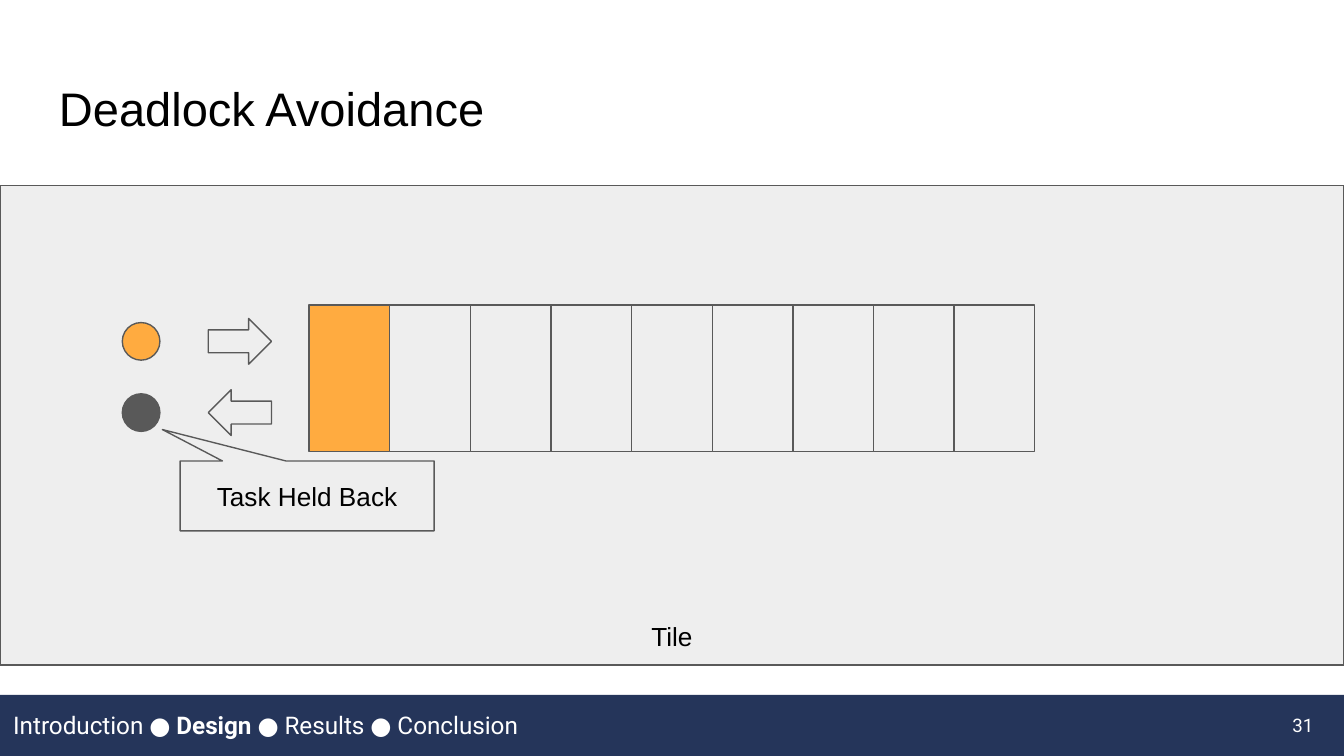
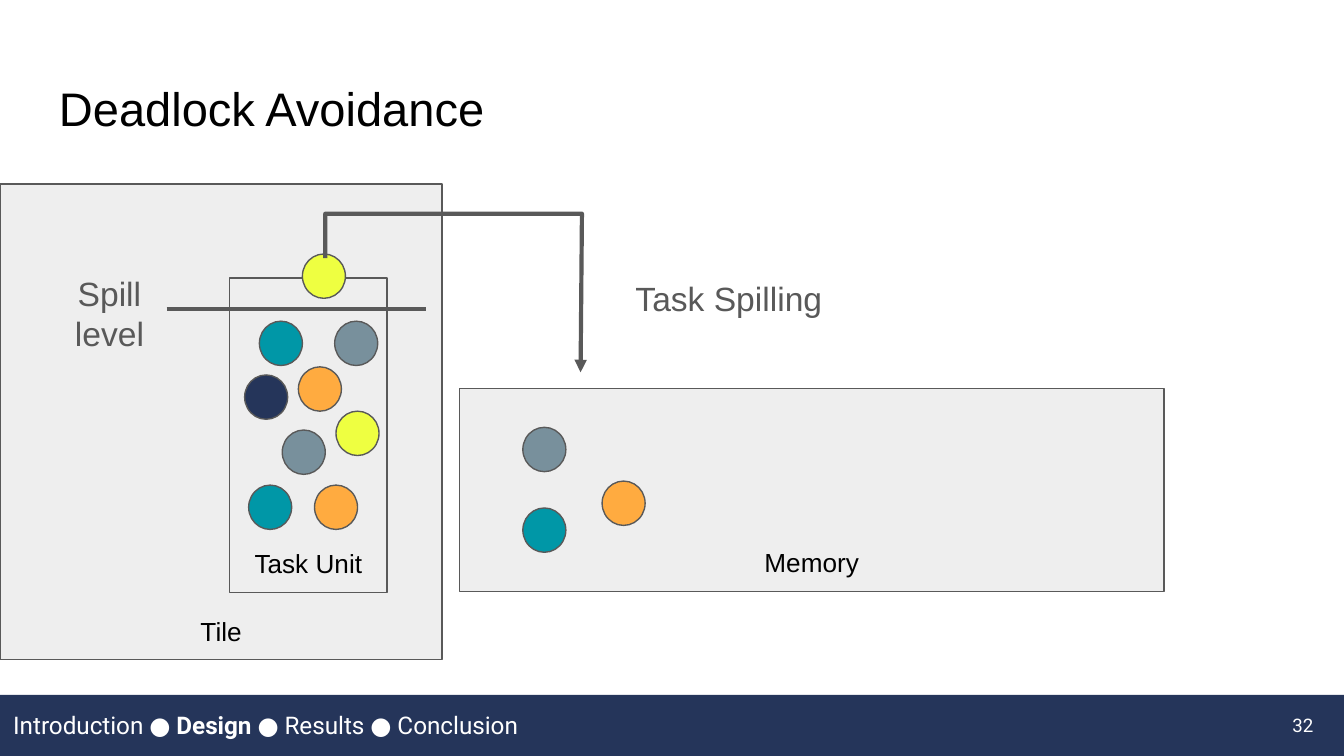
import pptx
import pptx.dml.color
import pptx.enum.shapes
import pptx.enum.text
import pptx.oxml.ns
import pptx.util
from lxml import etree

Inches = pptx.util.Inches
RGBColor = pptx.dml.color.RGBColor
SHAPE = pptx.enum.shapes.MSO_SHAPE
ALIGN = pptx.enum.text.PP_ALIGN
ANCHOR = pptx.enum.text.MSO_ANCHOR

NAVY = RGBColor(0x25, 0x35, 0x5A)
GRAY = RGBColor(0x59, 0x59, 0x59)
PANEL = RGBColor(0xEE, 0xEE, 0xEE)
CELL = RGBColor(0xEF, 0xEF, 0xEF)
ORANGE = RGBColor(0xFF, 0xAB, 0x40)
TEAL = RGBColor(0x00, 0x97, 0xA7)
SLATE = RGBColor(0x78, 0x90, 0x9C)
YELLOW = RGBColor(0xEE, 0xFF, 0x41)
BLACK = RGBColor(0, 0, 0)
WHITE = RGBColor(255, 255, 255)

WIDTH = 10
HEIGHT = WIDTH * 9 / 16
SECTIONS = ["Introduction", "Design", "Results", "Conclusion"]


# Shared building blocks
def write(shape, text, size, color, font="Arial", align=ALIGN.LEFT, anchor=ANCHOR.TOP):
    frame = shape.text_frame
    frame.word_wrap = True
    frame.margin_left = frame.margin_right = Inches(0.1)
    frame.margin_top = frame.margin_bottom = Inches(0.1)
    frame.vertical_anchor = anchor
    frame.text = text
    for paragraph in frame.paragraphs:
        paragraph.alignment = align
        for run in paragraph.runs:
            style_run(run, size, color, font)


def style_run(run, size, color, font):
    run.font.size = pptx.util.Pt(size)
    run.font.name = font
    run.font.color.rgb = color


def add_text(slide, box, text, size, color, **style):
    shape = slide.shapes.add_textbox(*map(Inches, box))
    write(shape, text, size, color, **style)
    return shape


def add_shape(slide, kind, box, fill, outline=GRAY):
    shape = slide.shapes.add_shape(kind, *map(Inches, box))
    shape.shadow.inherit = False
    shape.fill.solid()
    shape.fill.fore_color.rgb = fill
    if outline is None:
        shape.line.fill.background()
    else:
        shape.line.color.rgb = outline
        shape.line.width = pptx.util.Pt(0.75)
    return shape


def add_panel(slide, box, label):
    panel = add_shape(slide, SHAPE.RECTANGLE, box, PANEL)
    write(panel, label, 14, BLACK, align=ALIGN.CENTER, anchor=ANCHOR.BOTTOM)


def style_thick_line(line):
    line.color.rgb = GRAY
    line.width = pptx.util.Pt(2.25)


def add_tasks(slide, box, tasks, width=0.32, height=0.33):
    for x, y, color in tasks:
        add_shape(slide, SHAPE.OVAL, (box[0] + x, box[1] + y, width, height), color)


# Title, footer band, section trail and slide number
def add_frame(slide, title, section, number):
    add_shape(slide, SHAPE.RECTANGLE, (0, 5.17, WIDTH, HEIGHT - 5.17), NAVY, outline=None)
    add_text(slide, (0.34, 0.49, 9.32, 0.63), title, 25.2, BLACK)
    add_text(slide, (9.27, 5.18, 0.6, 0.43), str(number), 10, WHITE,
             font="Roboto", align=ALIGN.RIGHT, anchor=ANCHOR.MIDDLE)
    trail = add_text(slide, (0, 5.18, 9.27, 0.43), "", 13, WHITE, anchor=ANCHOR.MIDDLE)
    paragraph = trail.text_frame.paragraphs[0]
    before, after = " ● ".join(SECTIONS).split(section + " ")
    for part in (before, section + " ", after):
        run = paragraph.add_run()
        run.text = part
        style_run(run, 13, WHITE, "Roboto")
        run.font.bold = part.strip() == section


# Row of queue slots, the first one occupied
def add_queue(slide, box, count=9):
    left, top, width, height = box
    slot = width / count
    for index in range(count):
        fill = ORANGE if index == 0 else CELL if index in (5, 6) else PANEL
        add_shape(slide, SHAPE.RECTANGLE, (left + index * slot, top, slot, height), fill)


# Tasks entering and leaving the queue
def add_task_flow(slide, box):
    left, top, width, height = box
    for row, (color, rotation) in enumerate([(ORANGE, 0), (GRAY, 180)]):
        y = top + row * (height - 0.34)
        add_tasks(slide, (left, y), [(0, 0.03, color)], 0.28, 0.28)
        arrow = add_shape(slide, SHAPE.RIGHT_ARROW, (left + width - 0.47, y, 0.47, 0.34), PANEL)
        arrow.rotation = rotation


def add_callout(slide, box, text):
    callout = add_shape(slide, SHAPE.RECTANGULAR_CALLOUT, box, PANEL)
    callout.adjustments[0] = -0.57
    callout.adjustments[1] = -0.95
    write(callout, text, 14, BLACK, align=ALIGN.CENTER, anchor=ANCHOR.MIDDLE)


# Task unit with its tasks, one of them above the spill level
def add_task_unit(slide, box):
    add_panel(slide, box, "Task Unit")
    add_tasks(slide, box, [
        (0.54, -0.18, YELLOW), (0.22, 0.32, TEAL), (0.78, 0.32, SLATE),
        (0.11, 0.72, NAVY), (0.51, 0.66, ORANGE), (0.79, 0.99, YELLOW),
        (0.39, 1.13, SLATE), (0.14, 1.54, TEAL), (0.63, 1.54, ORANGE),
    ])
    left, top = box[:2]
    level = slide.shapes.add_connector(
        pptx.enum.shapes.MSO_CONNECTOR.STRAIGHT,
        Inches(left - 0.47), Inches(top + 0.23), Inches(left + 1.46), Inches(top + 0.23))
    style_thick_line(level.line)
    etree.SubElement(level._element.spPr, pptx.oxml.ns.qn("a:effectLst"))
    add_text(slide, (left - 1.48, top - 0.14, 1.17, 0.33), "Spill\nlevel", 18, GRAY,
             align=ALIGN.CENTER)


def add_memory(slide, box):
    add_panel(slide, box, "Memory")
    add_tasks(slide, box, [(0.47, 0.29, SLATE), (1.06, 0.69, ORANGE), (0.47, 0.89, TEAL)])


# Bent arrow from the task unit to memory
def add_spill_arrow(slide, box):
    left, top, width, height = box
    points = [(left, top), (left + width, top), (left + width - 0.01, top + height)]
    builder = slide.shapes.build_freeform(Inches(left), Inches(top + 0.33), scale=1.0)
    builder.add_line_segments([(Inches(x), Inches(y)) for x, y in points], close=False)
    arrow = builder.convert_to_shape()
    arrow.shadow.inherit = False
    arrow.fill.background()
    style_thick_line(arrow.line)
    line = arrow._element.spPr.find(pptx.oxml.ns.qn("a:ln"))
    etree.SubElement(line, pptx.oxml.ns.qn("a:tailEnd"), type="triangle")
    add_text(slide, (left + 2.21, top + 0.38, 2.01, 0.33), "Task Spilling", 18, GRAY)


def build_queue_slide(slide):
    add_panel(slide, (0, 1.38, WIDTH, 3.57), "Tile")
    add_frame(slide, "Deadlock Avoidance", "Design", 31)
    add_queue(slide, (2.3, 2.27, 5.4, 1.09))
    add_task_flow(slide, (0.91, 2.37, 1.11, 0.87))
    add_callout(slide, (1.34, 3.43, 1.89, 0.52), "Task Held Back")


def build_spilling_slide(slide):
    add_panel(slide, (0, 1.37, 3.29, 3.54), "Tile")
    add_frame(slide, "Deadlock Avoidance", "Design", 32)
    add_task_unit(slide, (1.71, 2.07, 1.17, 2.34))
    add_memory(slide, (3.42, 2.89, 5.24, 1.51))
    add_spill_arrow(slide, (2.42, 1.59, 1.91, 1.18))


def main():
    presentation = pptx.Presentation()
    presentation.slide_width = Inches(WIDTH)
    presentation.slide_height = Inches(HEIGHT)
    for build in (build_queue_slide, build_spilling_slide):
        build(presentation.slides.add_slide(presentation.slide_layouts[6]))
    presentation.save("out.pptx")


if __name__ == "__main__":
    main()
